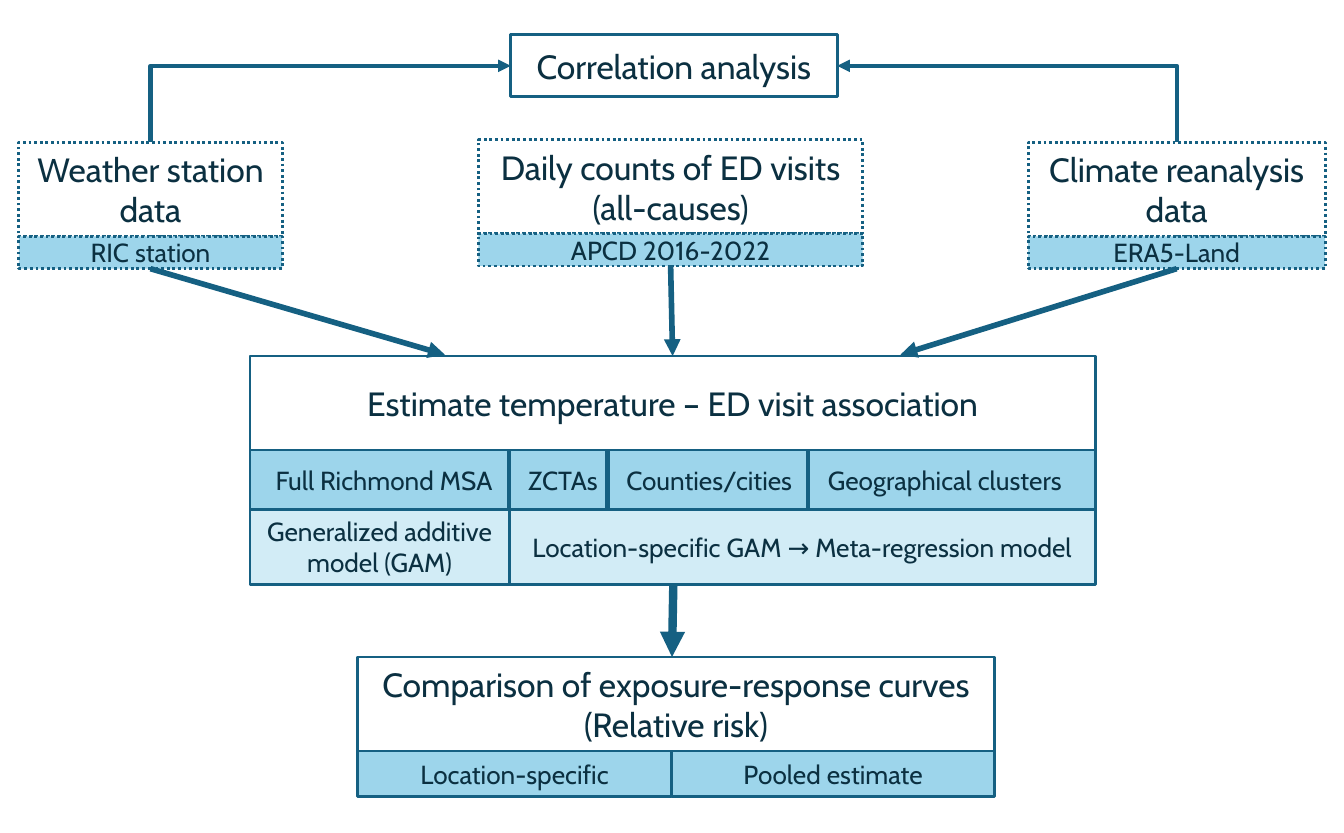
import pptx
import pptx.dml.color
import pptx.enum.dml
import pptx.enum.shapes
import pptx.enum.text
import pptx.oxml.ns
import pptx.util
from lxml import etree

Inches = pptx.util.Inches
COLORS = {"line": "156082", "text": "0B3041", "mid": "9DD5EB", "pale": "D2ECF6"}
HEADING = {"name": "Cabin", "size": pptx.util.Pt(18)}
DETAIL = {"name": "Cabin", "size": pptx.util.Pt(14)}
FRAME = {"word_wrap": True, "vertical_anchor": pptx.enum.text.MSO_ANCHOR.MIDDLE}
TOP, LEFT, BOTTOM, RIGHT = 0, 1, 2, 3
TITLE_HEIGHT = 0.7


def rgb(name):
    """Return the named colour."""
    return pptx.dml.color.RGBColor.from_string(COLORS[name])


def set_values(target, values):
    """Set each format value on the target."""
    for name, value in values.items():
        setattr(target, name, value)


def add_box(shapes, box, text, font, fill=None, dotted=False, tabs=()):
    """Add an outlined rectangle with centred text, or text set on tab stops."""
    shape = shapes.add_shape(
        pptx.enum.shapes.MSO_SHAPE.RECTANGLE, *[Inches(value) for value in box])
    shape.shadow.inherit = False
    if fill:
        shape.fill.solid()
        shape.fill.fore_color.rgb = rgb(fill)
    else:
        shape.fill.background()
    shape.line.color.rgb = rgb("line")
    shape.line.width = pptx.util.Pt(1.5)
    if dotted:
        shape.line.dash_style = pptx.enum.dml.MSO_LINE.ROUND_DOT
    set_values(shape.text_frame, FRAME)
    shape.text_frame.text = text
    paragraph = shape.text_frame.paragraphs[0]
    paragraph.alignment = pptx.enum.text.PP_ALIGN.CENTER
    if tabs:
        paragraph.alignment = pptx.enum.text.PP_ALIGN.LEFT
        tab_list = etree.SubElement(
            paragraph._p.get_or_add_pPr(), pptx.oxml.ns.qn("a:tabLst"))
        for position in tabs:
            etree.SubElement(tab_list, pptx.oxml.ns.qn("a:tab"),
                             pos=str(Inches(position)), algn="l")
    for run in paragraph.runs:
        set_values(run.font, font)
        run.font.color.rgb = rgb("text")
    return shape


def add_line(shapes, start, end, width, arrow=None, bent=False):
    """Add a straight or one-bend connector, with an arrow at headEnd or tailEnd."""
    kinds = pptx.enum.shapes.MSO_CONNECTOR
    connector = shapes.add_connector(
        kinds.ELBOW if bent else kinds.STRAIGHT,
        *[Inches(value) for value in (*start, *end)])
    connector.line.color.rgb = rgb("line")
    connector.line.width = pptx.util.Pt(width)
    properties = connector._element.spPr
    if bent:
        properties.find(pptx.oxml.ns.qn("a:prstGeom")).set("prst", "bentConnector2")
    if arrow:
        etree.SubElement(connector.line._get_or_add_ln(),
                         pptx.oxml.ns.qn("a:" + arrow), type="triangle")
    etree.SubElement(properties, pptx.oxml.ns.qn("a:effectLst"))
    return connector


def add_source(slide, box, title, detail):
    """Add a dotted data source and return its title and detail boxes."""
    left, top, width, height = box
    shapes = slide.shapes.add_group_shape().shapes
    return (
        add_box(shapes, (left, top, width, TITLE_HEIGHT), title, HEADING, dotted=True),
        add_box(shapes, (left, top + TITLE_HEIGHT, width, height - TITLE_HEIGHT),
                detail, DETAIL, "mid", dotted=True))


def add_estimate(slide, box):
    """Add the estimation block with its areas and models and return its title box."""
    left, top, width, height = box
    shapes = slide.shapes.add_group_shape().shapes
    title = add_box(shapes, (left, top, width, TITLE_HEIGHT),
                    "Estimate temperature – ED visit association", HEADING)
    area_top, area_height, split = top + TITLE_HEIGHT, 0.44, 1.93
    areas = ("Full Richmond MSA", "ZCTAs", "Counties/cities", "Geographical clusters")
    area_bar = add_box(shapes, (left, area_top, width, area_height),
                       "\t".join(areas), DETAIL, "mid", tabs=(1.88, 2.61, 4.11))
    area_bar.text_frame.margin_left = Inches(0.19)
    model_top = area_top + area_height
    model_height = top + height - model_top
    add_box(shapes, (left, model_top, split, model_height),
            "Generalized additive model (GAM)", DETAIL, "pale")
    add_box(shapes, (left + split, model_top, width - split, model_height),
            "Location-specific GAM → Meta-regression model", DETAIL, "pale")
    for offset in (split, 2.66, 4.15):
        add_line(shapes, (left + offset, area_top), (left + offset, model_top), 2.25)
    return title


def add_comparison(slide, box):
    """Add the comparison block with its two result types."""
    left, top, width, height = box
    shapes = slide.shapes.add_group_shape().shapes
    add_box(shapes, (left, top, width, TITLE_HEIGHT),
            "Comparison of exposure-response curves\v(Relative risk)", HEADING)
    split, row_top = 2.34, top + TITLE_HEIGHT
    row_height = height - TITLE_HEIGHT
    add_box(shapes, (left, row_top, split, row_height),
            "Location-specific", DETAIL, "mid")
    add_box(shapes, (left + split, row_top, width - split, row_height),
            "Pooled estimate", DETAIL, "mid")


def main():
    """Build the study workflow slide."""
    presentation = pptx.Presentation()
    presentation.slide_width = Inches(10)
    presentation.slide_height = Inches(6.2)
    slide = presentation.slides.add_slide(presentation.slide_layouts[6])
    shapes = slide.shapes
    correlation = add_box(shapes, (3.8, 0.26, 2.43, 0.46),
                          "Correlation analysis", HEADING)
    weather, station = add_source(
        slide, (0.14, 1.06, 1.96, 0.94), "Weather station data", "RIC station")
    visits, claims = add_source(
        slide, (3.56, 1.04, 2.86, 0.94),
        "Daily counts of ED visits (all-causes)", "APCD 2016-2022")
    climate, reanalysis = add_source(
        slide, (7.65, 1.06, 2.21, 0.94), "Climate reanalysis data", "ERA5-Land")
    estimate = add_estimate(slide, (1.86, 2.65, 6.29, 1.7))
    add_comparison(slide, (2.66, 4.89, 4.74, 1.04))

    for start, end, side, source in (
            ((3.8, 0.49), (1.12, 1.06), LEFT, weather),
            ((6.23, 0.49), (8.75, 1.06), RIGHT, climate)):
        link = add_line(shapes, start, end, 2.25, "headEnd", bent=True)
        link.begin_connect(correlation, side)
        link.end_connect(source, TOP)
    for start, end, source in (
            ((1.12, 2), (3.31, 2.64), station),
            ((4.99, 1.98), (5, 2.65), claims),
            ((8.75, 2), (6.7, 2.64), reanalysis)):
        link = add_line(shapes, start, end, 3, "tailEnd")
        link.begin_connect(source, BOTTOM)
        if source is claims:
            link.end_connect(estimate, TOP)
    add_line(shapes, (5.01, 4.35), (5, 4.89), 4.5, "tailEnd")
    presentation.save("out.pptx")


if __name__ == "__main__":
    main()
